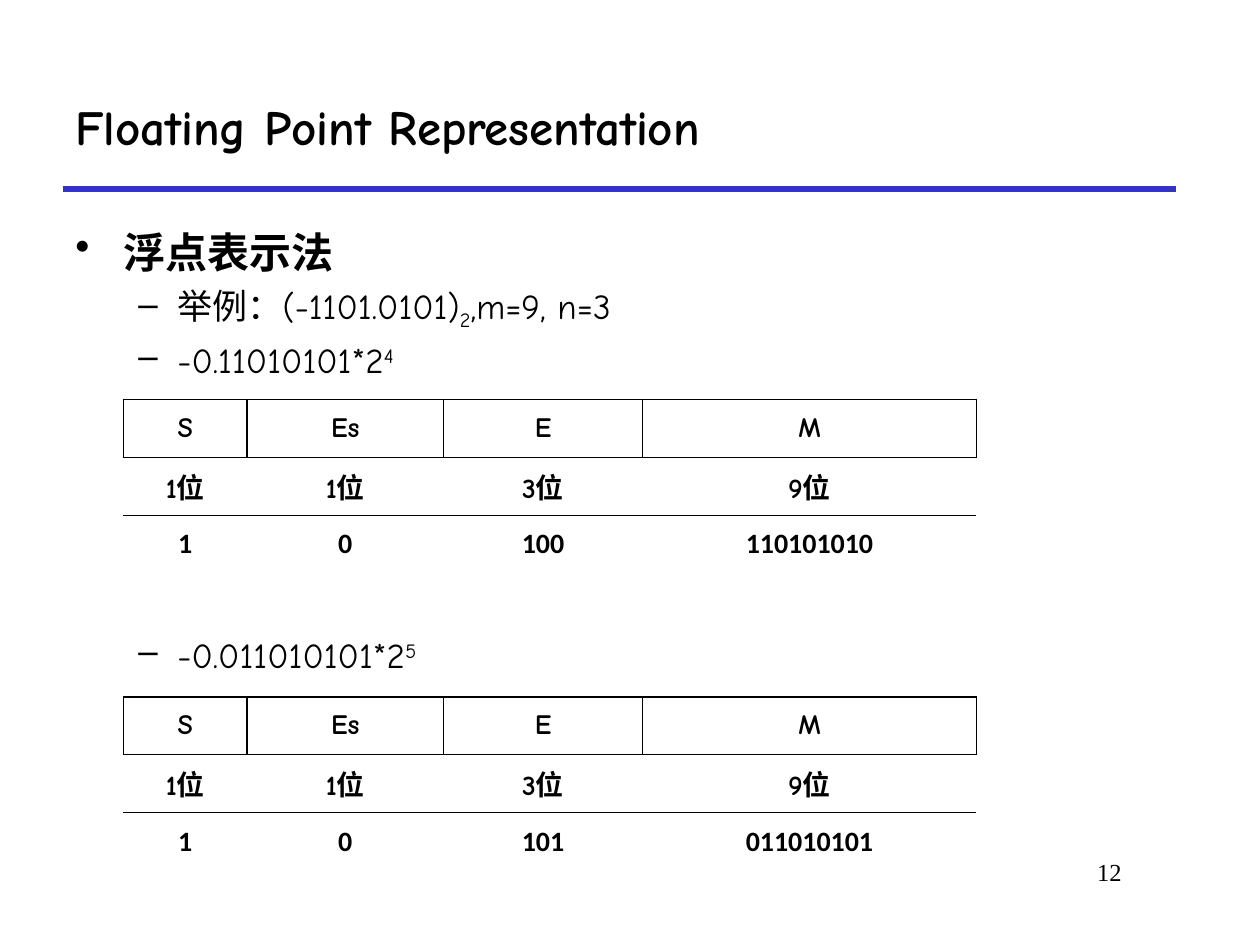
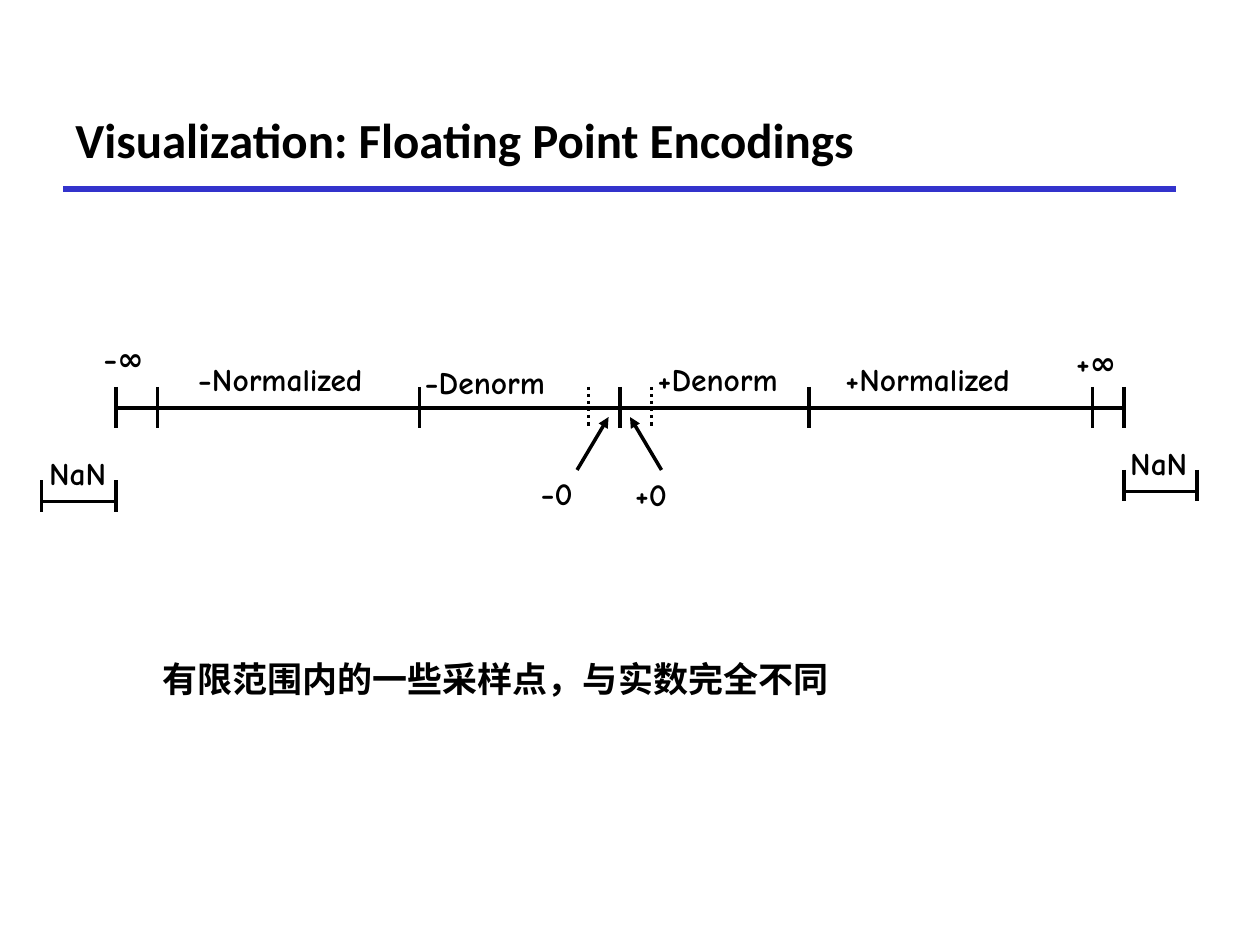
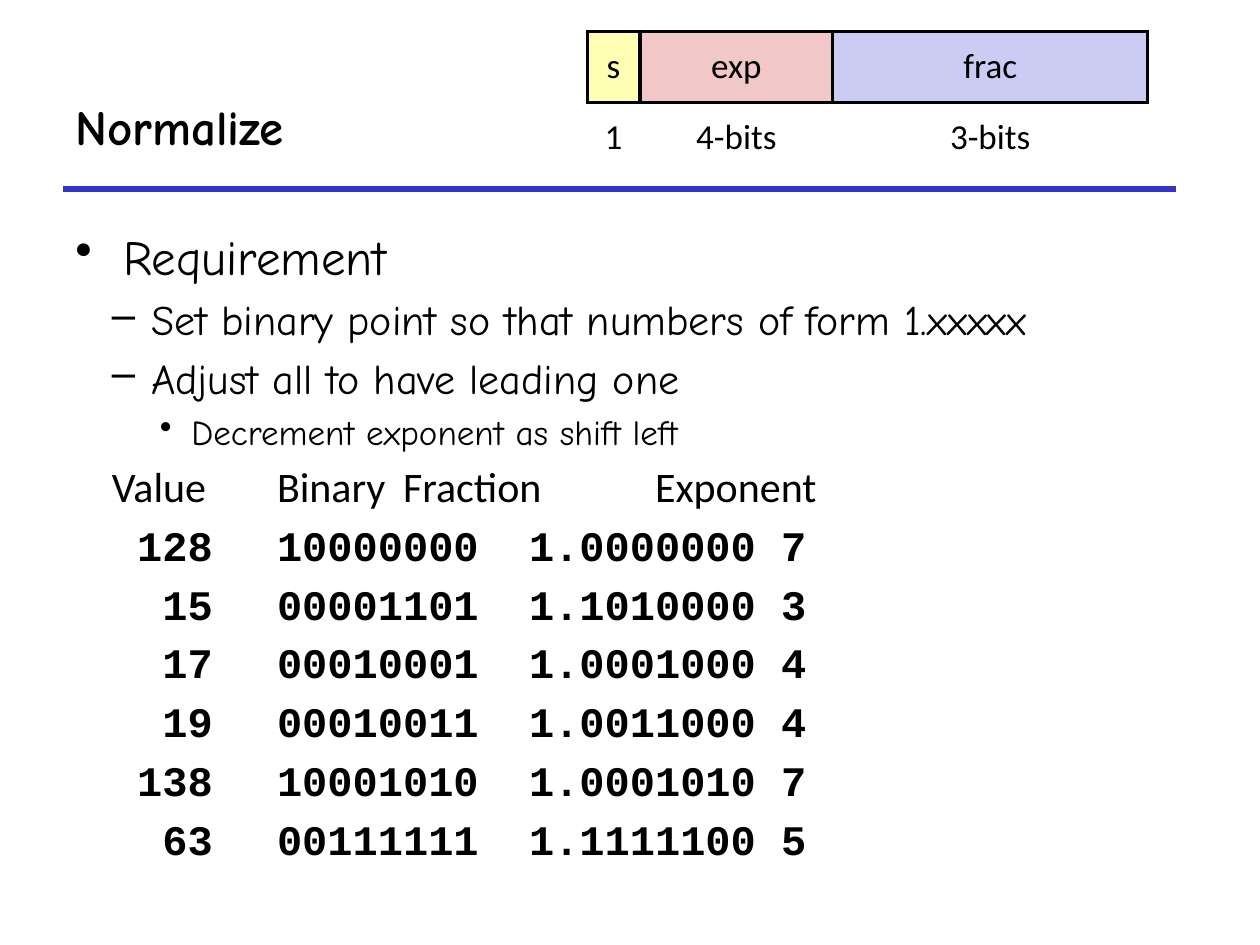
import pptx
import pptx.dml.color
import pptx.enum.dml
import pptx.enum.shapes
import pptx.enum.text
import pptx.oxml.ns
import pptx.util
from lxml import etree

Inches, Pt = pptx.util.Inches, pptx.util.Pt
ALIGN = pptx.enum.text.PP_ALIGN
MIDDLE = pptx.enum.text.MSO_ANCHOR.MIDDLE
qn = pptx.oxml.ns.qn

BLACK, WHITE, BLUE = "000000", "FFFFFF", "3333CC"
HAND, SANS, MONO, SERIF = "Comic Neue", "Calibri", "Courier New", "Times New Roman"
BODY_BOX = (0.5, 1.75, 9.08, 4.83)
TAB_STEP = 1

# Floating point representation: (runs, level, size, bold); a run is text or (text, baseline)
REPRESENTATION = [
    (["浮点表示法"], 0, 24, True),
    (["举例：(-1101.0101)", ("2", -25), ",m=9, n=3"], 1, 20, False),
    (["-0.11010101*2", ("4", 30)], 1, 20, False),
    (["-0.011010101*2", ("5", 30)], 1, 20, False),
]
GAP_FOR_TABLE = 144.5
FIELDS = ["S", "Es", "E", "M"]
WIDTHS = ["1位", "1位", "3位", "9位"]
FORMAT_COLUMNS = [0.98, 1.56, 1.58, 2.65]
FORMAT_TABLES = [
    (3.17, ["1", "0", "100", "110101010"]),
    (5.53, ["1", "0", "101", "011010101"]),
]

# Number line
AXIS_Y, AXIS_START, AXIS_END = 3.24, 0.92, 8.92
TICKS = [AXIS_START, 1.25, 3.33, 4.92, 6.42, 8.67, AXIS_END]
DOTTED_TICKS = [4.67, 5.17]
NAN_RANGES = [(0.33, 0.92, 3.98), (8.92, 9.5, 3.9)]
ZERO_ARROWS = [(4.58, 4.83), (5.25, 5)]
LINE_LABELS = [
    ("+∞", 8.5, 2.68, 0.41), ("−∞", 0.78, 2.65, 0.41),
    ("−0", 4.25, 3.72, 0.36), ("+0", 5, 3.73, 0.37),
    ("−Denorm", 3.33, 2.84, 1.13), ("+Denorm", 5.18, 2.82, 1.13),
    ("−Normalized", 1.53, 2.82, 1.51), ("+Normalized", 6.67, 2.82, 1.51),
    ("NaN", 0.35, 3.56, 0.59), ("NaN", 8.93, 3.48, 0.59),
]

# Normalize
REQUIREMENTS = [
    ("Requirement", 0, 28),
    ("Set binary point so that numbers of form 1.xxxxx", 1, 24),
    ("Adjust all to have leading one", 1, 24),
    ("Decrement exponent as shift left", 2, 20),
]
VALUE_HEADS = ["Value", "Binary", "Fraction", "Exponent"]
VALUES = [
    ("128", "10000000", "1.0000000", "7"),
    ("15", "00001101", "1.1010000", "3"),
    ("17", "00010001", "1.0001000", "4"),
    ("19", "00010011", "1.0011000", "4"),
    ("138", "10001010", "1.0001010", "7"),
    ("63", "00111111", "1.1111100", "5"),
]
DIGIT_WIDTH = 0.2
BIT_FIELDS = [("s", "1", 0.42, "FFFEB2"), ("exp", "4-bits", 1.53, "F1C7C7"),
              ("frac", "3-bits", 2.5, "CBCCF3")]


def rgb(color):
    return pptx.dml.color.RGBColor.from_string(color)


def set_font(font, size, name=HAND, bold=False):
    font.size, font.name, font.bold = Pt(size), name, bold
    font.color.rgb = rgb(BLACK)


def add_box(page, left, top, width, height, inset=None, wrap=True):
    """Add an empty text box and return its text frame."""
    box = page.shapes.add_textbox(*map(Inches, (left, top, width, height)))
    frame = box.text_frame
    frame.word_wrap = wrap
    if inset is not None:
        frame.margin_left = frame.margin_right = Inches(inset)
        frame.margin_top = frame.margin_bottom = Inches(inset)
    return frame


def write_line(frame, text, size, name=HAND, bold=False):
    para = frame.paragraphs[0]
    para.text = text
    set_font(para.font, size, name, bold)
    return para


def add_item(frame, runs, level, size, margin, hanging, bullet=None,
             name=HAND, bold=False):
    """Add a paragraph to a body text, with its indent, tab step and bullet."""
    para = frame.paragraphs[0]
    if para.runs:
        para = frame.add_paragraph()
    para.level = level
    for run in runs:
        text, baseline = run if isinstance(run, tuple) else (run, 0)
        span = para.add_run()
        span.text = text
        if baseline:
            span._r.get_or_add_rPr().set("baseline", str(baseline * 1000))
    props = para._p.get_or_add_pPr()
    props.set("marL", str(Inches(margin)))
    props.set("indent", str(Inches(hanging)))
    props.set("defTabSz", str(Inches(TAB_STEP)))
    before = etree.SubElement(props, qn("a:spcBef"))
    etree.SubElement(before, qn("a:spcPct"), val="20000")
    if bullet:
        etree.SubElement(props, qn("a:buFontTx"))
        etree.SubElement(props, qn("a:buChar"), char=bullet)
    else:
        etree.SubElement(props, qn("a:buNone"))
    set_font(para.font, size, name, bold)
    return para


def add_line(page, start, end, color=BLACK, width=2, dotted=False, arrow=False):
    line = page.shapes.add_connector(pptx.enum.shapes.MSO_CONNECTOR.STRAIGHT,
                                     *map(Inches, (*start, *end)))
    line.line.color.rgb = rgb(color)
    line.line.width = Pt(width)
    if dotted:
        line.line.dash_style = pptx.enum.dml.MSO_LINE.ROUND_DOT
    props = line._element.spPr
    if arrow:
        etree.SubElement(props.find(qn("a:ln")), qn("a:tailEnd"), type="triangle")
    etree.SubElement(props, qn("a:effectLst"))


def set_borders(cell, sides, width):
    """Draw the named sides (of L, R, T, B) and clear the others."""
    props = cell._tc.get_or_add_tcPr()
    for side in "LRTB":
        border = etree.SubElement(props, qn(f"a:ln{side}"), w=str(Pt(width)))
        if side in sides:
            fill = etree.SubElement(border, qn("a:solidFill"))
            etree.SubElement(fill, qn("a:srgbClr"), val=BLACK)
        else:
            etree.SubElement(border, qn("a:noFill"))


def add_grid(page, left, top, columns, row_height, rows, borders, width, insets):
    """Add a table of centred cells; rows hold (texts, fills, font options)."""
    table = page.shapes.add_table(
        len(rows), len(columns), Inches(left), Inches(top),
        Inches(sum(columns)), Inches(row_height * len(rows))).table
    table.first_row = table.horz_banding = False
    for column, column_width in zip(table.columns, columns):
        column.width = Inches(column_width)
    for row, (texts, fills, font), sides in zip(table.rows, rows, borders):
        row.height = Inches(row_height)
        for cell, text, fill in zip(row.cells, texts, fills):
            cell.vertical_anchor = MIDDLE
            cell.margin_left = cell.margin_right = Inches(insets[0])
            cell.margin_top = cell.margin_bottom = Inches(insets[1])
            set_borders(cell, sides, width)
            if fill:
                cell.fill.solid()
                cell.fill.fore_color.rgb = rgb(fill)
            else:
                cell.fill.background()
            write_line(cell.text_frame, text, **font).alignment = ALIGN.CENTER


def add_page(deck, title, title_font=HAND, title_height=1):
    """Add a slide with the shared title and blue rule."""
    page = deck.slides.add_slide(deck.slide_layouts[6])
    add_line(page, (0.5, 1.5), (9.33, 1.5), BLUE, 3)
    frame = add_box(page, 0.5, 0.5, 8.83, title_height)
    frame.vertical_anchor = MIDDLE
    write_line(frame, title, 28, title_font, True)
    return page


def build_representation(deck):
    page = add_page(deck, "Floating Point Representation")
    body = add_box(page, *BODY_BOX)
    for runs, level, size, bold in REPRESENTATION:
        margin, hanging, bullet = [(0.38, -0.38, "•"), (0.81, -0.31, "–")][level]
        para = add_item(body, runs, level, size, margin, hanging, bullet, bold=bold)
    para.space_before = Pt(GAP_FOR_TABLE)
    number = add_box(page, 7.58, 6.75, 1.42, 0.5)
    write_line(number, "12", 14, SERIF).alignment = ALIGN.RIGHT
    hand = {"size": 16, "name": HAND, "bold": True}
    fills = [WHITE] * len(FIELDS)
    for top, bits in FORMAT_TABLES:
        rows = [(FIELDS, fills, hand), (WIDTHS, fills, hand),
                (bits, fills, {**hand, "name": SANS})]
        add_grid(page, 0.98, top, FORMAT_COLUMNS, 0.46, rows,
                 ["LRTB", "TB", "T"], 1, (0.07, 0))


def build_number_line(deck):
    page = add_page(deck, "Visualization: Floating Point Encodings", SANS, 1.2)
    add_line(page, (AXIS_START, AXIS_Y), (AXIS_END, AXIS_Y))
    for x in TICKS + DOTTED_TICKS:
        add_line(page, (x, 3.07), (x, 3.4), dotted=x in DOTTED_TICKS)
    for left, right, y in NAN_RANGES:
        add_line(page, (left, y), (right, y))
        for x in (left, right):
            add_line(page, (x, y - 0.17), (x, y + 0.08))
    for start, end in ZERO_ARROWS:
        add_line(page, (start, 3.73), (end, 3.31), arrow=True)
    for text, left, top, width in LINE_LABELS:
        label = add_box(page, left, top, width, 0.39, inset=0.04, wrap=False)
        write_line(label, text, 18, bold=True)
    remark = add_box(page, 1.19, 5.17, 6.56, 0.44)
    write_line(remark, "有限范围内的一些采样点，与实数完全不同", 20, SANS, True)


def build_normalize(deck):
    page = add_page(deck, "Normalize")
    body = add_box(page, *BODY_BOX)
    indents = [(0.38, -0.38, "•"), (0.6, -0.31, "–"), (0.92, -0.25, "•")]
    for text, level, size in REQUIREMENTS:
        add_item(body, [text], level, size, *indents[level])
    margin, hanging, _ = indents[1]
    add_item(body, ["\t".join(VALUE_HEADS)], 1, 24, margin, hanging, name=SANS)
    for row in VALUES:
        shift = DIGIT_WIDTH * (4 - len(row[0]))
        add_item(body, ["\t".join(row)], 1, 24, margin, hanging + shift,
                 name=MONO, bold=True)
    names, sizes, columns, colors = zip(*BIT_FIELDS)
    font = {"size": 20, "name": SANS}
    rows = [(names, colors, font), (sizes, [None] * len(sizes), font)]
    add_grid(page, 4.66, 0.25, columns, 0.56, rows, ["LRTB", "T"], 2, (0.06, 0.06))


def main():
    deck = pptx.Presentation()
    deck.slide_width, deck.slide_height = Inches(10), Inches(7.5)
    build_representation(deck)
    build_number_line(deck)
    build_normalize(deck)
    deck.save("out.pptx")


if __name__ == "__main__":
    main()
